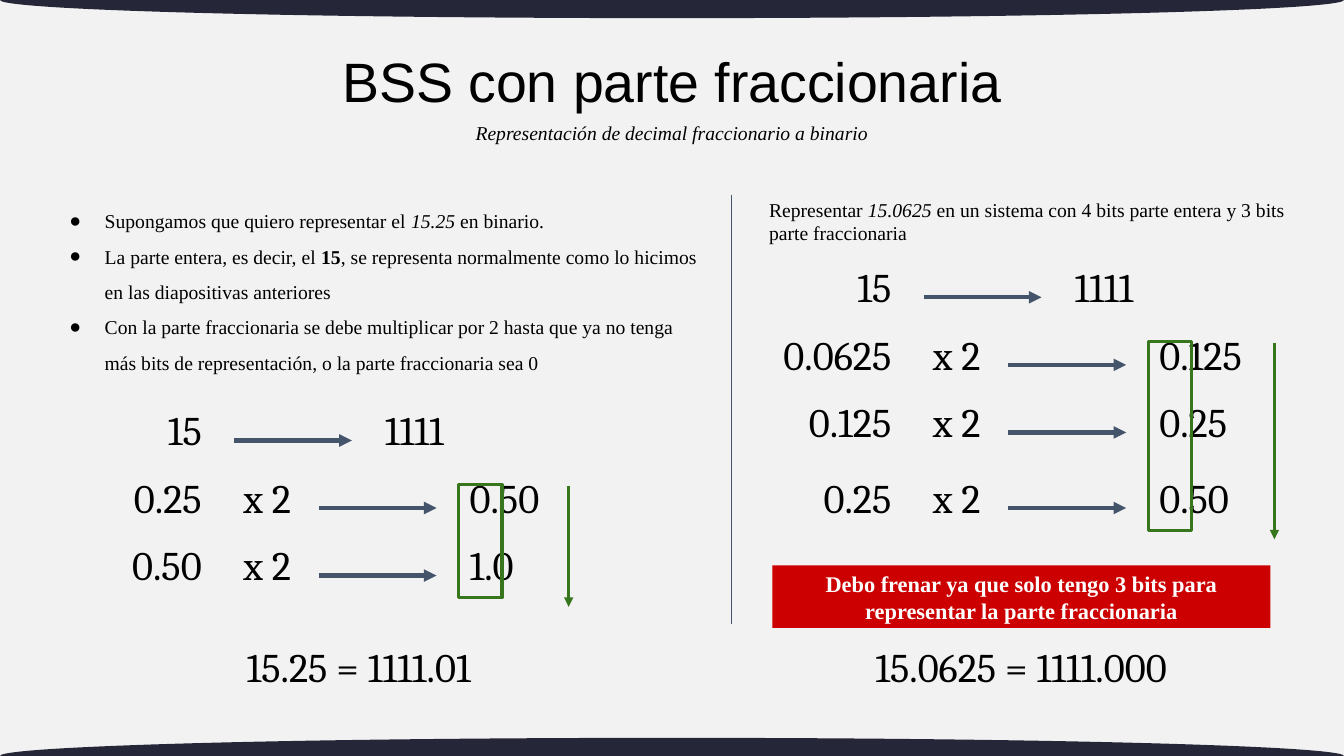
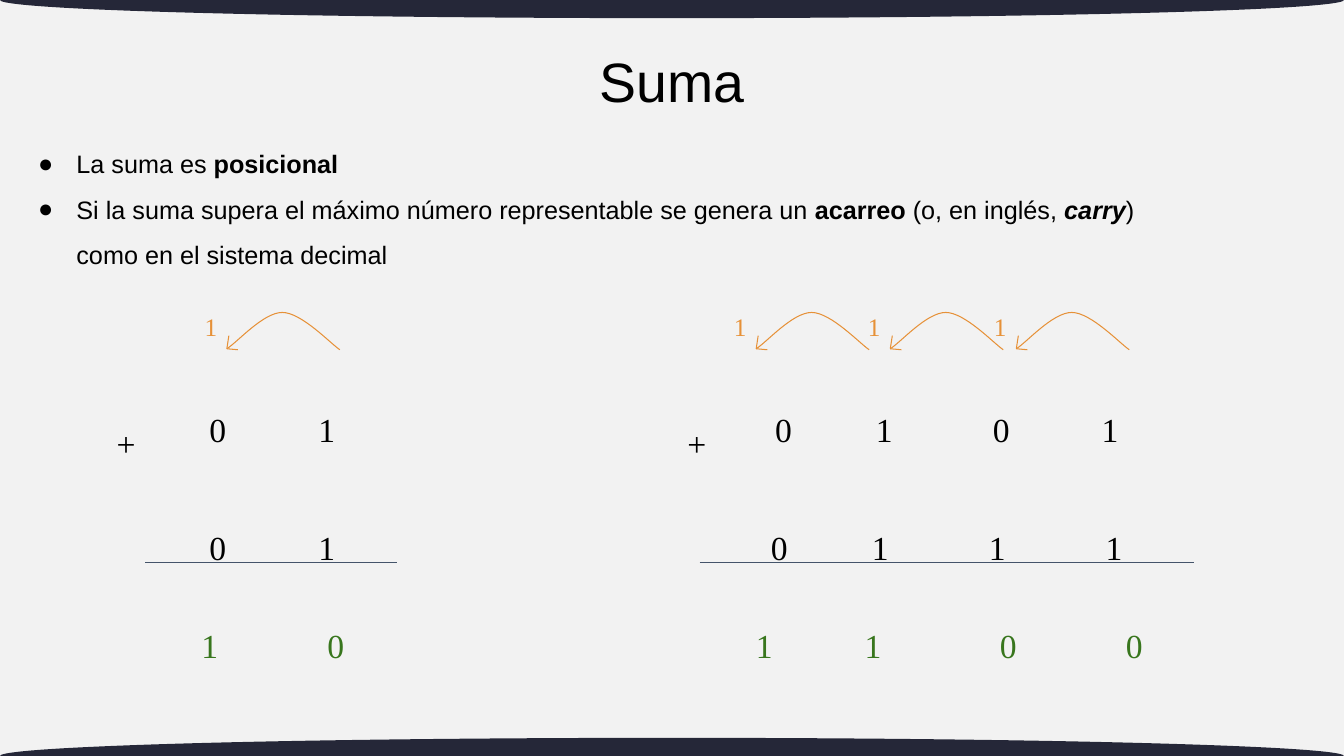
from dataclasses import dataclass
from lxml.etree import SubElement as Sub
from pptx import Presentation
from pptx.dml.color import RGBColor as Rgb
from pptx.enum.shapes import MSO_CONNECTOR as Con, MSO_SHAPE as Geo
from pptx.enum.text import MSO_ANCHOR as Anc, PP_ALIGN as Al
from pptx.oxml.ns import qn
from pptx.util import Inches, Pt


@dataclass(frozen=True)
class Theme:
    back: str = "F2F2F2"
    band: str = "252738"
    ink: str = "000000"
    slate: str = "44546A"
    green: str = "38761D"
    orange: str = "E69138"
    red: str = "CC0000"
    white: str = "FFFFFF"
    sans: str = "Arial"
    serif: str = "Times New Roman"
    math: str = "Cambria"
    title: float = 39.6
    calc: float = 29
    digit: float = 24
    lead: float = 18
    alert: float = 16
    body: float = 14
    hair: float = 0.75
    frame: float = 2.25
    arrow: float = 3


T = Theme()
COLS, ROWS = 13.33, 7.5

FRACTION = {
    "title": "BSS con parte fraccionaria",
    "sub": [[("Representación de decimal fraccionario a binario", "i")]],
    "steps": [
        [("Supongamos que quiero representar el ", ""), ("15.25", "i"), (" en binario.", "")],
        [("La parte entera, es decir, el ", ""), ("15", "b"),
         (", se representa normalmente como lo hicimos en las diapositivas anteriores", "")],
        [("Con la parte fraccionaria se debe multiplicar por 2 hasta que ya no tenga "
          "más bits de representación, o la parte fraccionaria sea 0", "")],
    ],
    "task": [[("Representar ", ""), ("15.0625", "i"),
              (" en un sistema con 4 bits parte entera y 3 bits parte fraccionaria", "")]],
    "alert": [[("Debo frenar ya que solo tengo 3 bits para representar la parte fraccionaria", "b")]],
    "works": [
        {"edge": 2.1, "mid": 3.56, "down": 3.54, "whole": (3.92, "15", "1111"),
         "rows": [(4.59, "0.25", "0.50"), (5.26, "0.50", "1.0")],
         "sum": "15.25 = 1111.01"},
        {"edge": 8.94, "mid": 10.13, "down": 3.7, "whole": (2.5, "15", "1111"),
         "rows": [(3.17, "0.0625", "0.125"), (3.84, "0.125", "0.25"), (4.59, "0.25", "0.50")],
         "sum": "15.0625 = 1111.000"},
    ],
}

ADDITION = {
    "title": "Suma",
    "points": [
        [("La suma es ", ""), ("posicional", "b")],
        [("Si la suma supera el máximo número representable se genera un ", ""),
         ("acarreo", "b"), (" (o, en inglés, ", ""), ("carry", "bi"),
         (") como en el sistema decimal", "")],
    ],
    "tops": (3.56, 4.73, 5.7),
    "sums": [
        {"plus": 1.06, "rule": (1.44, 3.94), "carry": (2.25,),
         "rows": [("01", (2.16, 3.24)), ("01", (2.16, 3.24)), ("10", (2.08, 3.33))]},
        {"plus": 6.72, "rule": (6.94, 11.84), "carry": (7.5, 8.83, 10.08),
         "rows": [("0101", (7.77, 8.77, 9.93, 11.01)), ("0111", (7.73, 8.73, 9.89, 11.05)),
                  ("1100", (7.58, 8.66, 10, 11.25))]},
    ],
}

ARC = [(1.12, 0.37), (1.03, 0.31), (0.74, 0), (0.55, 0), (0.36, 0), (0.1, 0.3), (0, 0.36)]


def tint(name):
    return Rgb.from_string(name)


def plain(text):
    return [[(text, "")]]


def put(frame, paras, size, font, color=T.ink, align=Al.LEFT, space=None,
        anchor=Anc.TOP, dot=None, pad=0.1, wrap=True):
    frame.word_wrap = wrap
    frame.vertical_anchor = anchor
    frame.margin_left = frame.margin_right = Inches(0.1)
    frame.margin_top = frame.margin_bottom = Inches(pad)
    for num, runs in enumerate(paras):
        para = frame.add_paragraph() if num else frame.paragraphs[0]
        para.alignment = align
        if space:
            para.line_spacing = space
        if dot:
            props = para._p.get_or_add_pPr()
            props.set("marL", str(Inches(0.5)))
            props.set("indent", str(-Inches(dot)))
            Sub(Sub(props, qn("a:buClr")), qn("a:srgbClr")).set("val", color)
            Sub(props, qn("a:buFont")).set("typeface", font)
            Sub(props, qn("a:buChar")).set("char", "●")
        for words, style in runs:
            run = para.add_run()
            run.text = words
            run.font.name = font
            run.font.size = Pt(size)
            run.font.color.rgb = tint(color)
            run.font.bold = "b" in style
            run.font.italic = "i" in style


def text(slide, box, paras, size, font, **opts):
    area = slide.shapes.add_textbox(*map(Inches, box))
    put(area.text_frame, paras, size, font, **opts)


def style(shape, fill=None, line=None, width=T.hair):
    shape.shadow.inherit = False
    if fill:
        shape.fill.solid()
        shape.fill.fore_color.rgb = tint(fill)
    else:
        shape.fill.background()
    if line:
        shape.line.color.rgb = tint(line)
        shape.line.width = Pt(width)
    else:
        shape.line.fill.background()


def block(slide, kind, box, **look):
    shape = slide.shapes.add_shape(kind, *map(Inches, box))
    style(shape, **look)
    return shape


def line(slide, ends, color, width=T.hair, head=False):
    link = slide.shapes.add_connector(Con.STRAIGHT, *map(Inches, ends))
    link.line.color.rgb = tint(color)
    link.line.width = Pt(width)
    if head:
        Sub(link.line._get_or_add_ln(), qn("a:tailEnd")).set("type", "triangle")
    Sub(link._element.spPr, qn("a:effectLst"))


def start(deck, title):
    slide = deck.slides.add_slide(deck.slide_layouts[6])
    for top in (0, ROWS):
        block(slide, Geo.OVAL, (0, top - 0.18, COLS, 0.36), fill=T.band)
    text(slide, (COLS / 2 - 3.5, 0.37, 7, 0.94), plain(title), T.title, T.sans,
         align=Al.CENTER, space=0.9, anchor=Anc.MIDDLE, pad=0.05)
    return slide


def calc(slide, left, top, width, words, align=Al.LEFT):
    text(slide, (left, top, width, 0.77), plain(words), T.calc, T.math, align=align)


def step(slide, edge, row, shift):
    top, value, result = row
    calc(slide, edge - 1.41, top, 1.41, value, Al.RIGHT)
    if shift:
        calc(slide, edge + 0.02, top, 1.06, "x 2", Al.CENTER)
    tail = edge + 0.22 + shift
    line(slide, (tail, top + 0.45, tail + 1.17, top + 0.45), T.slate, T.arrow, True)
    calc(slide, tail + 1.4, top, 1.33, result)


def work(slide, part):
    edge, rows = part["edge"], part["rows"]
    step(slide, edge, part["whole"], 0)
    for row in rows:
        step(slide, edge, row, 0.84)
    top, low = rows[0][0] + 0.22, rows[-1][0] + 0.67
    block(slide, Geo.RECTANGLE, (edge + 2.45, top, 0.43, low - top),
          line=T.green, width=T.frame)
    down = edge + part["down"]
    line(slide, (down, top + 0.01, down, low + 0.09), T.green, T.frame, True)
    calc(slide, part["mid"] - 1.93, 6.27, 3.86, part["sum"], Al.CENTER)


def fraction(deck):
    data = FRACTION
    slide = start(deck, data["title"])
    text(slide, (COLS / 4, 1.15, COLS / 2, 0.34), data["sub"], T.body, T.serif,
         align=Al.CENTER, pad=0.05)
    text(slide, (0.44, 1.86, 6.65, 2.31), data["steps"], T.body, T.serif,
         space=1.5, dot=0.35)
    text(slide, (7.53, 1.86, 5.64, 0.62), data["task"], T.body, T.serif)
    line(slide, (7.26, 1.93, 7.26, 6.19), T.slate)
    for part in data["works"]:
        work(slide, part)
    alert = block(slide, Geo.RECTANGLE, (7.66, 5.61, 4.94, 0.62), fill=T.red)
    put(alert.text_frame, data["alert"], T.alert, T.serif, color=T.white,
        align=Al.CENTER, anchor=Anc.MIDDLE, pad=0.05)


def bend(shape):
    legs = list(shape._element.iter(qn("a:lnTo")))
    for num in range(0, len(legs), 3):
        trio = legs[num:num + 3]
        cubic = Sub(trio[0].getparent(), qn("a:cubicBezTo"))
        for leg in trio:
            cubic.append(leg[0])
            leg.getparent().remove(leg)


def carry(slide, left, top=3.1):
    spots = [(Inches(left + x), Inches(top + y)) for x, y in ARC]
    pen = slide.shapes.build_freeform(*spots[0])
    pen.add_line_segments(spots[1:], close=False)
    arc = pen.convert_to_shape()
    bend(arc)
    style(arc, line=T.orange)
    for x, y in ((0.02, 0.23), (0.11, 0.37)):
        line(slide, (left + x, top + y, left, top + 0.36), T.orange)
    text(slide, (left - 0.32, top - 0.11, 0.32, 0.4), plain("1"), T.lead, T.serif,
         color=T.orange, align=Al.CENTER, wrap=False)


def addition(deck):
    data = ADDITION
    slide = start(deck, data["title"])
    text(slide, (0.16, 1.53, 11.6, 0.94), data["points"], T.lead, T.sans,
         space=1.5, anchor=Anc.MIDDLE, dot=0.38, pad=0.05)
    for part in data["sums"]:
        text(slide, (part["plus"], 4.1, 0.46, 0.6), plain("+"), T.digit, T.serif)
        left, right = part["rule"]
        line(slide, (left, 5.58, right, 5.58), T.slate)
        for spot in part["carry"]:
            carry(slide, spot)
        for top, (bits, mids), color in zip(data["tops"], part["rows"],
                                            (T.ink, T.ink, T.green)):
            for bit, mid in zip(bits, mids):
                text(slide, (mid - 0.25, top, 0.5, 0.65), plain(bit), T.digit, T.serif,
                     color=color, align=Al.CENTER, space=2)


def main():
    deck = Presentation()
    deck.slide_width, deck.slide_height = Inches(COLS), Inches(ROWS)
    fill = deck.slide_master.background.fill
    fill.solid()
    fill.fore_color.rgb = tint(T.back)
    fraction(deck)
    addition(deck)
    deck.save("out.pptx")


if __name__ == "__main__":
    main()
